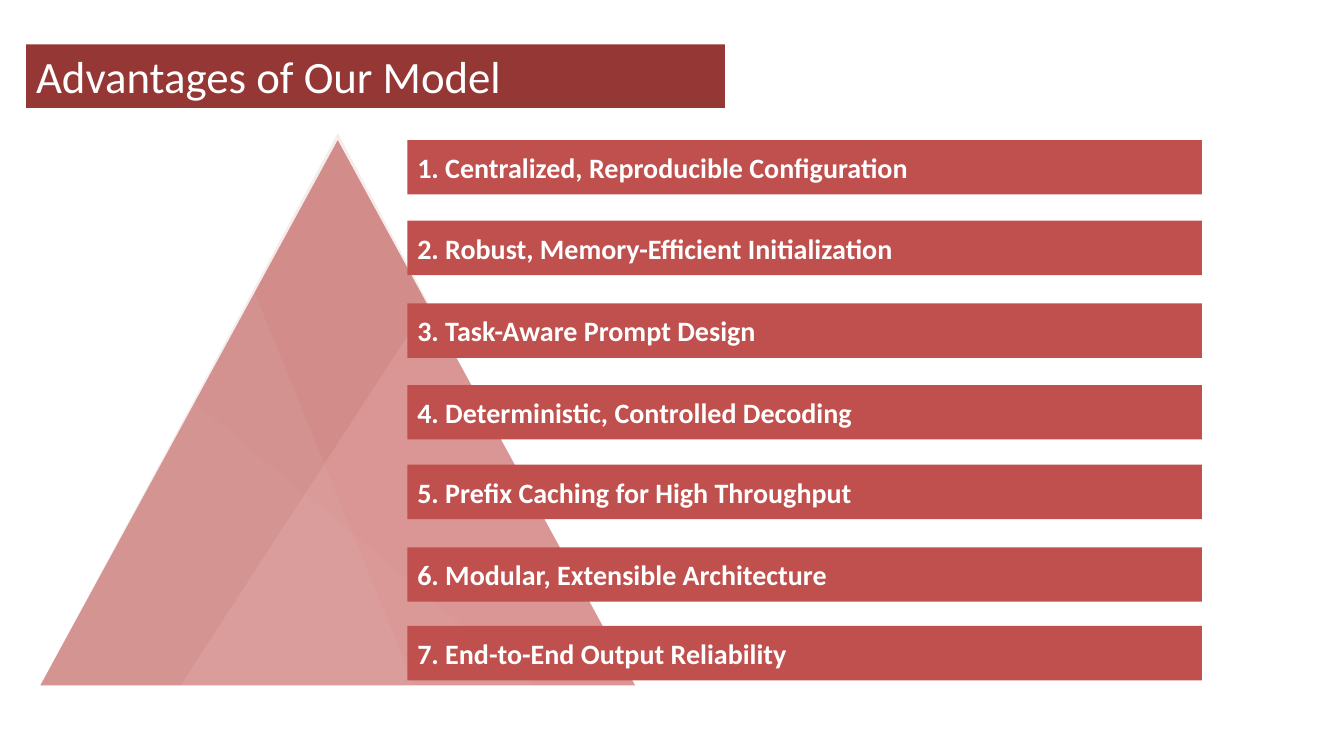
from pptx import Presentation
from pptx.dml.color import RGBColor
from pptx.enum.shapes import MSO_SHAPE
from pptx.enum.text import MSO_ANCHOR, PP_ALIGN
from pptx.oxml.ns import qn
from pptx.util import Pt
from lxml import etree

RECT = MSO_SHAPE.RECTANGLE
PEAK = MSO_SHAPE.ISOSCELES_TRIANGLE
LEFT = PP_ALIGN.LEFT
MIDDLE = MSO_ANCHOR.MIDDLE

PX = 9144  # 100 px to the inch
WHITE = RGBColor(0xFF, 0xFF, 0xFF)
MAROON = RGBColor(0x95, 0x37, 0x35)
RED = RGBColor(0xC0, 0x50, 0x4D)
PINK = RGBColor(0xD9, 0x96, 0x94)
FONT = "Calibri"

TITLE = "Advantages of Our Model"
# (top, text)
POINTS = [
    (139, "Centralized, Reproducible Configuration"),
    (219, "Robust, Memory-Efficient Initialization"),
    (301, "Task-Aware Prompt Design"),
    (382, "Deterministic, Controlled Decoding"),
    (461, "Prefix Caching for High Throughput"),
    (543, "Modular, Extensible Architecture"),
    (621, "End-to-End Output Reliability"),
]
# (outline, colour, opacity in percent)
FACETS = [
    ([(335, 132), (425, 301), (179, 680), (40, 680)], MAROON, 9),
    ([(251, 287), (411, 680), (40, 680)], WHITE, 4),
    ([(192, 398), (530, 680), (40, 680)], WHITE, 3),
]
BAR_LEFT, BAR_WIDTH, BAR_HEIGHT = 404, 788, 54


def paint(shape, color):
    shape.shadow.inherit = False
    shape.fill.solid()
    shape.fill.fore_color.rgb = color
    shape.line.fill.background()


def add_block(slide, kind, box, color):
    shape = slide.shapes.add_shape(kind, *(v * PX for v in box))
    paint(shape, color)
    return shape


def add_facet(slide, points, color, alpha):
    """Draw a see-through outline over the pyramid."""
    build = slide.shapes.build_freeform(*points[0], scale=PX)
    build.add_line_segments(points[1:], close=True)
    shape = build.convert_to_shape()
    paint(shape, color)
    tint = shape._element.spPr.find(qn("a:solidFill"))[0]
    etree.SubElement(tint, qn("a:alpha")).set("val", str(alpha * 1000))


def write(shape, text, size, bold=False):
    frame = shape.text_frame
    frame.word_wrap = True
    frame.vertical_anchor = MIDDLE
    line = frame.paragraphs[0]
    line.text = text
    line.alignment = LEFT
    line.font.name = FONT
    line.font.size = Pt(size)
    line.font.bold = bold
    line.font.color.rgb = WHITE


def main():
    deck = Presentation()
    deck.slide_width, deck.slide_height = 1333 * PX, 750 * PX
    slide = deck.slides.add_slide(deck.slide_layouts[6])

    add_block(slide, RECT, (26, 44, 693, 63), MAROON)
    add_block(slide, PEAK, (40, 139, 590, 541), PINK)
    for points, color, alpha in FACETS:
        add_facet(slide, points, color, alpha)

    for number, (top, text) in enumerate(POINTS, 1):
        bar = add_block(slide, RECT, (BAR_LEFT, top, BAR_WIDTH, BAR_HEIGHT), RED)
        write(bar, f"{number}. {text}", 20, bold=True)

    title = slide.shapes.add_textbox(26 * PX, 43 * PX, 667 * PX, 64 * PX)
    write(title, TITLE, 32)
    deck.save("out.pptx")


if __name__ == "__main__":
    main()
